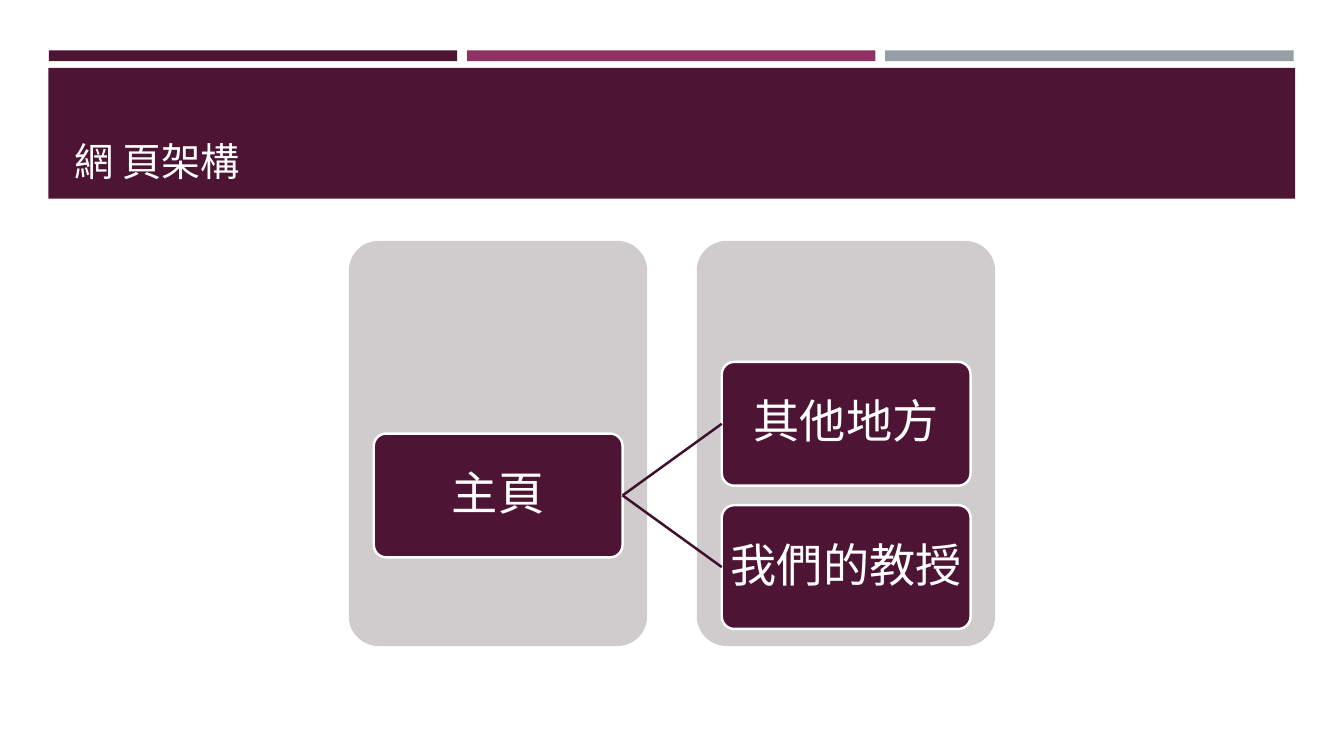
"""Build a slide showing the page structure of a website."""
from lxml.etree import SubElement
from pptx import Presentation
from pptx.dml.color import RGBColor
from pptx.enum.shapes import MSO_CONNECTOR as Connector, MSO_SHAPE as Shape
from pptx.enum.text import MSO_ANCHOR as Anchor, PP_ALIGN as Align
from pptx.oxml.ns import qn
from pptx.util import Cm, Pt

PLUM = RGBColor(0x4D, 0x14, 0x34)
MAGENTA = RGBColor(0x90, 0x31, 0x63)
SLATE = RGBColor(0x96, 0x9F, 0xA7)
PALE = RGBColor(0xD0, 0xCC, 0xCE)
DARK_PLUM = RGBColor(0x3E, 0x10, 0x2A)
WHITE = RGBColor(0xFF, 0xFF, 0xFF)

FONT = "Calibri"
BAR_LEFT, BAR_PITCH = 1.23, 10.54
PANEL_LEFT, PANEL_PITCH = 8.79, 8.77
NODE_INSET = 0.63
CHILD_TOP, CHILD_PITCH = 9.12, 3.61
RIGHT_SIDE, LEFT_SIDE = 3, 1


def add_block(slide, kind, left, top, width, height, color):
    """Add a flat filled shape, measured in centimetres."""
    block = slide.shapes.add_shape(kind, Cm(left), Cm(top), Cm(width), Cm(height))
    block.shadow.inherit = False
    block.fill.solid()
    block.fill.fore_color.rgb = color
    block.line.fill.background()
    if kind == Shape.ROUNDED_RECTANGLE:
        block.adjustments[0] = 0.1
    return block


def write_text(shape, text, size, align, anchor):
    """Write one white paragraph into a shape."""
    frame = shape.text_frame
    frame.text = text
    frame.word_wrap = True
    frame.vertical_anchor = anchor
    paragraph = frame.paragraphs[0]
    paragraph.alignment = align
    paragraph.line_spacing = 0.9
    paragraph.font.name = FONT
    paragraph.font.size = Pt(size)
    paragraph.font.color.rgb = WHITE


def add_header(slide, text):
    """Add the coloured bars and the title on its band."""
    for column, color in enumerate((PLUM, MAGENTA, SLATE)):
        add_block(slide, Shape.RECTANGLE, BAR_LEFT + column * BAR_PITCH, 1.27,
                  10.29, 0.27, color)
    add_block(slide, Shape.RECTANGLE, 1.22, 1.71, 31.42, 3.3, PLUM)
    title = slide.shapes.title
    title.left, title.top = Cm(1.63), Cm(1.96)
    title.width, title.height = Cm(30.63), Cm(2.82)
    write_text(title, text, 28, Align.LEFT, Anchor.BOTTOM)
    slide.shapes.element.append(title.element)


def add_page(slide, level, top, name):
    """Add the box of one page inside the panel of its level."""
    page = add_block(slide, Shape.ROUNDED_RECTANGLE,
                     PANEL_LEFT + level * PANEL_PITCH + NODE_INSET, top,
                     6.27, 3.12, PLUM)
    page.line.color.rgb = WHITE
    page.line.width = Pt(1.75)
    frame = page.text_frame
    frame.margin_left = frame.margin_right = Cm(0.05)
    frame.margin_top = frame.margin_bottom = Cm(0.05)
    write_text(page, name, 33, Align.CENTER, Anchor.MIDDLE)
    return page


def add_branch(slide, parent, child):
    """Join a parent page to a child page."""
    branch = slide.shapes.add_connector(Connector.STRAIGHT, 0, 0, 0, 0)
    branch.begin_connect(parent, RIGHT_SIDE)
    branch.end_connect(child, LEFT_SIDE)
    branch.line.color.rgb = DARK_PLUM
    branch.line.width = Pt(1.75)
    SubElement(branch.element.spPr, qn("a:effectLst"))


def main():
    """Build and save the slide."""
    deck = Presentation()
    deck.slide_width, deck.slide_height = Cm(33.87), Cm(19.05)
    slide = deck.slides.add_slide(deck.slide_layouts.get_by_name("Title Only"))
    add_header(slide, "網 頁架構")
    for level in range(2):
        add_block(slide, Shape.ROUNDED_RECTANGLE, PANEL_LEFT + level * PANEL_PITCH,
                  6.07, 7.52, 10.21, PALE)
    home = add_page(slide, 0, CHILD_TOP + CHILD_PITCH / 2, "主頁")
    for row, name in enumerate(("其他地方", "我們的教授")):
        child = add_page(slide, 1, CHILD_TOP + row * CHILD_PITCH, name)
        add_branch(slide, home, child)
    deck.save("out.pptx")


if __name__ == "__main__":
    main()
